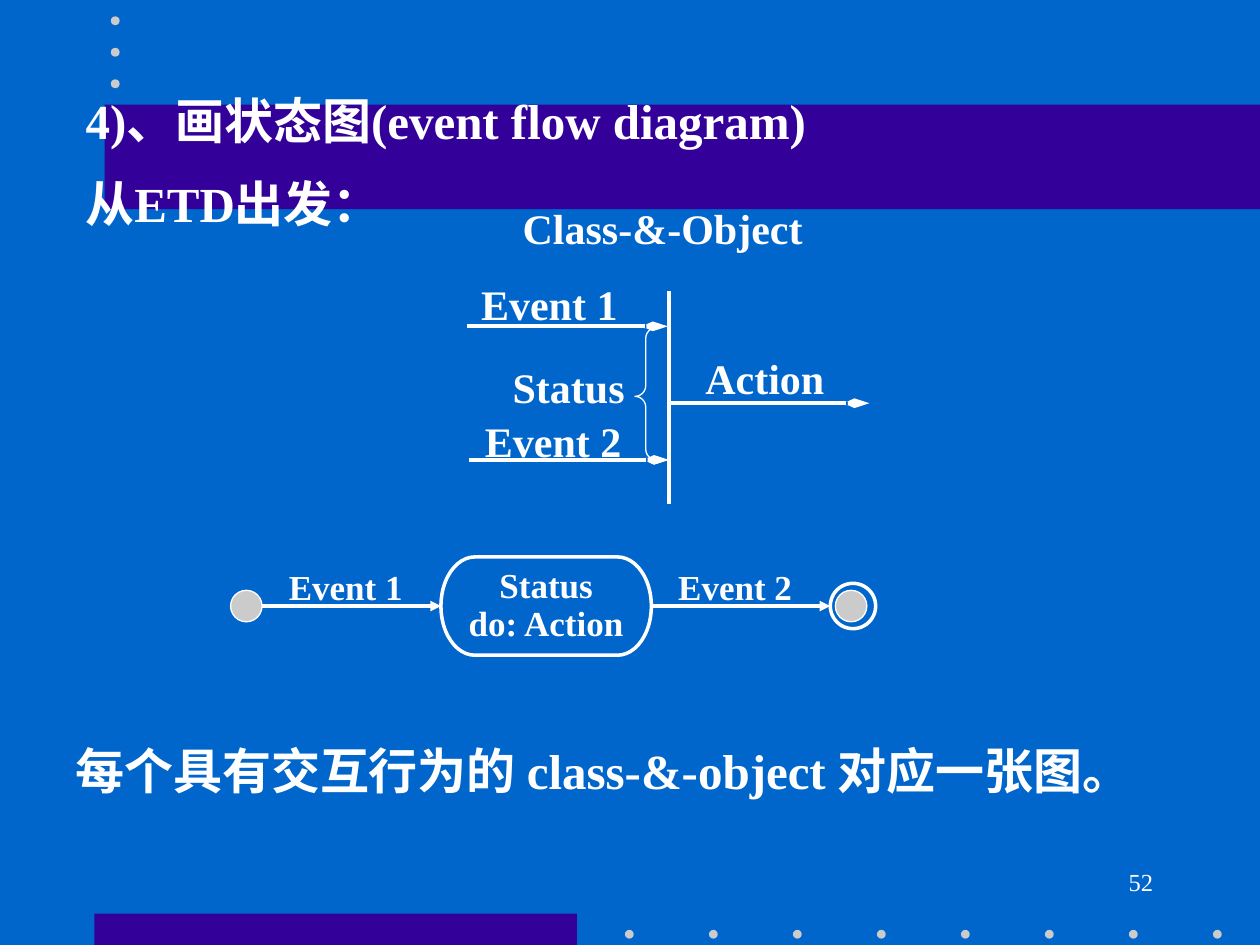
from dataclasses import dataclass

from lxml.etree import SubElement
from pptx import Presentation
from pptx.dml.color import RGBColor
from pptx.enum.shapes import MSO_CONNECTOR, MSO_SHAPE
from pptx.enum.text import MSO_ANCHOR, PP_ALIGN
from pptx.oxml.ns import qn
from pptx.util import Inches, Pt


@dataclass(frozen=True)
class Theme:
    bg: RGBColor = RGBColor(0x00, 0x66, 0xCC)
    band: RGBColor = RGBColor(0x33, 0x00, 0x99)
    dot: RGBColor = RGBColor(0xCB, 0xCB, 0xCB)
    ink: RGBColor = RGBColor(0xFF, 0xFF, 0xFF)
    latin: str = "Times New Roman"
    cjk: str = "Noto Sans CJK SC"
    heading: int = 28
    label: int = 24
    small: int = 20
    number: int = 14
    thin: float = 0.75
    medium: float = 2
    thick: float = 2.25


T = Theme()


def add_run(p, text, size, bold=True, font=T.latin):
    r = p.add_run()
    r.text = text
    f = r.font
    f.size, f.bold, f.name = Pt(size), bold, font
    f.color.rgb = T.ink
    ea = SubElement(r._r.get_or_add_rPr(), qn("a:ea"))
    ea.set("typeface", T.cjk)


def set_frame(tf, align=PP_ALIGN.LEFT):
    """Set margins and wrapping, and return the first paragraph."""
    tf.word_wrap = True
    tf.vertical_anchor = MSO_ANCHOR.TOP
    tf.margin_left = tf.margin_right = Inches(0.1)
    tf.margin_top = tf.margin_bottom = Inches(0.05)
    tf.paragraphs[0].alignment = align
    return tf.paragraphs[0]


def add_text(s, x, y, w, h, text, size, align=PP_ALIGN.LEFT, bold=True):
    sp = s.shapes.add_textbox(Inches(x), Inches(y), Inches(w), Inches(h))
    add_run(set_frame(sp.text_frame, align), text, size, bold)


def add_shape(s, kind, x, y, w, h, fill=None, line=None):
    sp = s.shapes.add_shape(kind, Inches(x), Inches(y), Inches(w), Inches(h))
    sp.shadow.inherit = False
    if fill is None:
        sp.fill.background()
    else:
        sp.fill.solid()
        sp.fill.fore_color.rgb = fill
    if line is None:
        sp.line.fill.background()
    else:
        sp.line.color.rgb = T.ink
        sp.line.width = Pt(line)
    return sp


def add_line(s, x1, y1, x2, y2, width, head=None):
    """Draw a line; head is (type, width, length) of an arrowhead at its end."""
    c = s.shapes.add_connector(MSO_CONNECTOR.STRAIGHT, Inches(x1), Inches(y1),
                               Inches(x2), Inches(y2))
    c.line.color.rgb = T.ink
    c.line.width = Pt(width)
    if head:
        tail = SubElement(c.line._get_or_add_ln(), qn("a:tailEnd"))
        for key, value in zip(("type", "w", "len"), head):
            tail.set(key, value)
    SubElement(c._element.spPr, qn("a:effectLst"))
    return c


def add_backdrop(s, w, h):
    s.background.fill.solid()
    s.background.fill.fore_color.rgb = T.bg
    add_shape(s, MSO_SHAPE.RECTANGLE, 0.75, h - 0.25, 3.83, 0.25, T.band)
    add_shape(s, MSO_SHAPE.RECTANGLE, 0.83, 0.83, w - 0.83, 0.83, T.band)
    bottom_dots = [(4.96 + i * 2 / 3, h - 0.12) for i in range(8)]
    top_dots = [(0.88, 0.13 + i * 0.25) for i in range(3)]
    for x, y in bottom_dots + top_dots:
        add_shape(s, MSO_SHAPE.OVAL, x, y, 0.07, 0.07, T.dot)


def add_headings(s, x, y, w):
    title = s.shapes.title
    title.left, title.top = Inches(x), Inches(y)
    title.width, title.height = Inches(w), Inches(0.57)
    add_run(set_frame(title.text_frame), "4)、画状态图(event flow diagram)", T.heading)
    s.shapes.element.append(title.element)  # bring in front of the band
    add_text(s, x, y + 0.66, 3.33, 0.57, "从ETD出发：", T.heading)


def add_event_trace(s, x, y):
    """Class lifeline with two incoming events and one outgoing action."""
    life, length = x + 1.6, 1.59
    head = ("arrow", "sm", "lg")
    for start, dy in ((x, 1.03), (x + 0.01, 2.09), (life, 1.64)):
        add_line(s, start, y + dy, start + length, y + dy, T.thick, head)
    add_line(s, life, y + 0.75, life, y + 2.44, T.thick)
    brace = add_shape(s, MSO_SHAPE.LEFT_BRACE, life - 0.27, y + 1.04, 0.17, 1.05,
                      line=T.thin)
    brace.adjustments[0] = 0.5
    brace.adjustments[1] = 0.52
    for text, dx, dy, w in (("Event 2", 0.04, 1.69, 1.49),
                            ("Event 1", 0.01, 0.6, 1.49),
                            ("Action", 1.79, 1.19, 1.32),
                            ("Status", 0.26, 1.26, 1.32),
                            ("Class-&-Object", 0.34, 0, 2.73)):
        add_text(s, x + dx, y + dy, w, 0.5, text, T.label)


def add_state_diagram(s, x, y, w, h):
    """Start dot, state and end dot along the middle of the box."""
    mid, dot, ring, state_w = y + h / 2, 0.25, 0.36, 1.67
    state_x, end_x = x + 1.67, x + w - ring
    state_end = state_x + state_w
    state = add_shape(s, MSO_SHAPE.FLOWCHART_TERMINATOR, state_x, y, state_w, h,
                      line=T.medium)
    for dot_x in (x, end_x + 0.04):
        add_shape(s, MSO_SHAPE.OVAL, dot_x, mid - dot / 2, dot, dot, T.dot, T.thin)
    add_shape(s, MSO_SHAPE.OVAL, end_x, mid - ring / 2, ring, ring, line=T.medium)

    tf = state.text_frame
    tf.word_wrap = False
    tf.vertical_anchor = MSO_ANCHOR.MIDDLE
    tf.margin_left = tf.margin_right = tf.margin_top = tf.margin_bottom = 0
    for i, text in enumerate(("Status", "do: Action")):
        p = tf.add_paragraph() if i else tf.paragraphs[0]
        p.alignment, p.line_spacing = PP_ALIGN.CENTER, 0.9
        add_run(p, text, T.small)

    head = ("triangle", "med", "med")
    arrive = add_line(s, x + dot, mid, state_x, mid, T.medium, head)
    arrive.end_connect(state, 1)
    leave = add_line(s, state_end, mid, end_x, mid, T.medium, head)
    leave.begin_connect(state, 3)
    for text, label_x in (("Event 1", x + dot), ("Event 2", state_end)):
        add_text(s, label_x, mid - 0.37, 1.33, 0.44, text, T.small, PP_ALIGN.CENTER)


def add_closing(s, x, y, w):
    sp = s.shapes.add_textbox(Inches(x), Inches(y), Inches(w), Inches(0.57))
    p = set_frame(sp.text_frame)
    for text, font in (("每个具有交互行为的 ", T.cjk), ("class-&-object ", T.latin),
                       ("对应一张图。", T.cjk)):
        add_run(p, text, T.heading, font=font)


def main():
    prs = Presentation()
    prs.slide_width, prs.slide_height = Inches(10), Inches(7.5)
    s = prs.slides.add_slide(prs.slide_layouts[5])
    add_backdrop(s, 10, 7.5)
    add_headings(s, 0.58, 0.67, 8.67)
    add_event_trace(s, 3.71, 1.56)
    add_closing(s, 0.5, 5.83, 8.92)
    add_state_diagram(s, 1.83, 4.42, 5.12, 0.78)
    add_text(s, 7.17, 6.83, 2.08, 0.5, "52", T.number, PP_ALIGN.RIGHT, bold=False)
    prs.save("out.pptx")


if __name__ == "__main__":
    main()
